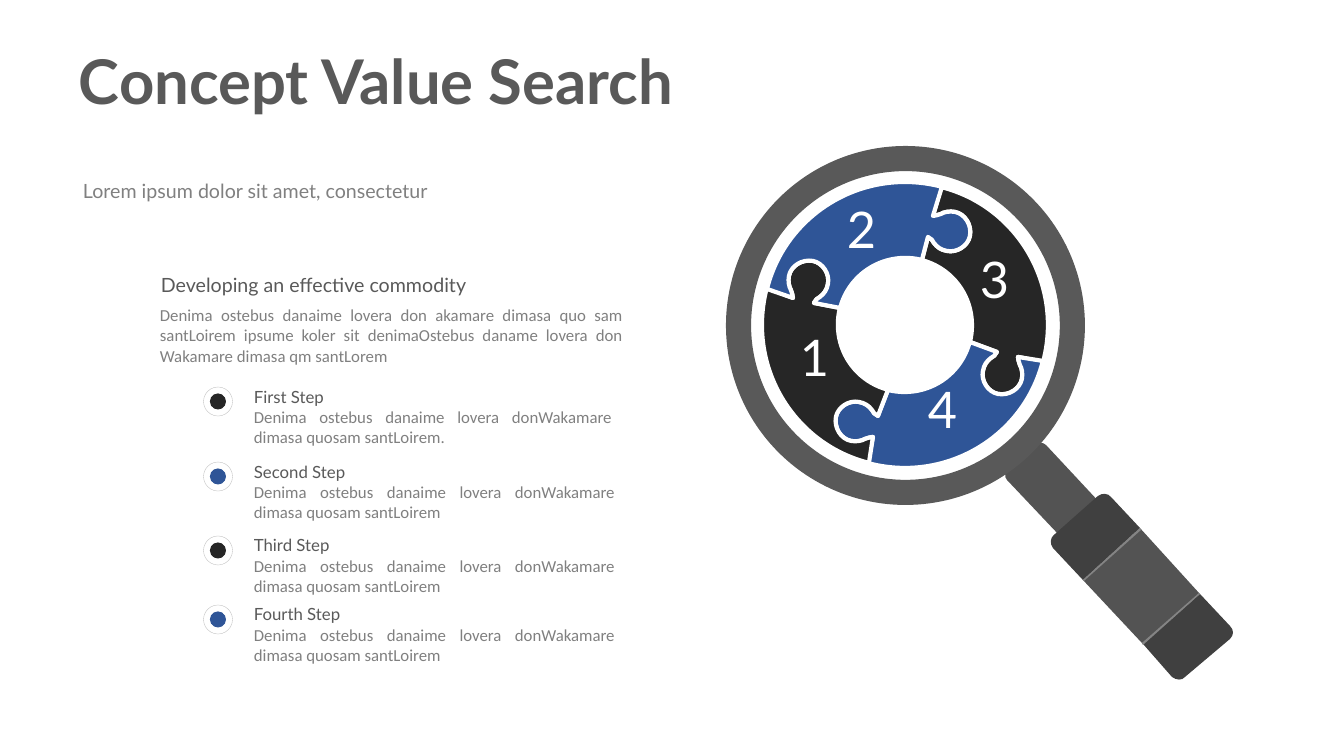
from math import cos, pi, radians, sin, tan

from lxml import etree
from pptx import Presentation
from pptx.dml.color import RGBColor
from pptx.enum.shapes import MSO_SHAPE
from pptx.enum.text import MSO_AUTO_SIZE, PP_ALIGN
from pptx.oxml.ns import qn
from pptx.util import Pt

LEFT, CENTER, JUSTIFY = PP_ALIGN.LEFT, PP_ALIGN.CENTER, PP_ALIGN.JUSTIFY
OVAL, DONUT = MSO_SHAPE.OVAL, MSO_SHAPE.DONUT
PX = 914400 / 100.8
COLORS = {key: RGBColor.from_string(value) for key, value in {
    "heading": "595959", "body": "808080", "dark": "262626", "blue": "2F5597",
    "white": "FFFFFF", "halo": "BFBFBF", "grip": "535353", "cap": "404040",
    "seam": "848484"}.items()}

presentation = Presentation()
presentation.slide_width = round(1344 * PX)
presentation.slide_height = round(756 * PX)
slide = presentation.slides.add_slide(presentation.slide_layouts[6])


def add_text(text, box, size, color, font="Lato", align=LEFT):
    shape = slide.shapes.add_textbox(*[round(value * PX) for value in box])
    frame = shape.text_frame
    frame.word_wrap = True
    frame.auto_size = MSO_AUTO_SIZE.SHAPE_TO_FIT_TEXT
    paragraph = frame.paragraphs[0]
    paragraph.text = text
    paragraph.alignment = align
    paragraph.font.size = Pt(size)
    paragraph.font.name = font
    paragraph.font.color.rgb = COLORS[color]
    return frame


def add_outline(segments, color):
    """Draw segments: one point is a straight line, three are a Bezier curve."""
    start, *rest = [(x * PX, y * PX) for segment in segments for x, y in segment]
    builder = slide.shapes.build_freeform(*start)
    builder.add_line_segments(rest, close=True)
    shape = builder.convert_to_shape()
    lines = iter(list(shape._element.iter(qn("a:lnTo"))))
    for segment in segments[1:]:
        first, *others = [next(lines) for _ in segment]
        if others:
            first.tag = qn("a:cubicBezTo")
            for line in others:
                first.append(line[0])
                line.getparent().remove(line)
    shape.shadow.inherit = False
    shape.fill.solid()
    shape.fill.fore_color.rgb = COLORS[color]
    shape.line.fill.background()
    return shape


# Headings and introduction
title = add_text("Concept Value Search", (69, 56, 894, 67), 44, "heading").paragraphs[0]
title.font.bold = True
title.line_spacing = Pt(40)
add_text("Lorem ipsum dolor sit amet, consectetur", (73, 174, 428, 57), 14, "body")
add_text("Denima ostebus danaime lovera don akamare dimasa quo sam santLoirem ipsume "
         "koler sit denimaOstebus daname lovera don Wakamare dimasa qm santLorem",
         (150, 300, 483, 72), 12, "body", "Calibri", JUSTIFY)
add_text("Developing an effective commodity", (151, 268, 419, 34), 14, "heading")

# Steps with their bullets
DETAIL = "Denima ostebus danaime lovera donWakamare dimasa quosam santLoirem"
STEPS = [
    ("First Step", DETAIL + ".", 382, 402, 378, "dark"),
    ("Second Step", DETAIL, 457, 477, 381, "blue"),
    ("Third Step", DETAIL, 530, 551, 381, "dark"),
    ("Fourth Step", DETAIL, 599, 620, 381, "blue"),
]
for name, detail, name_top, detail_top, width, color in STEPS:
    add_text(name, (244, name_top, 232, 30), 12, "heading")
    add_text(detail, (244, detail_top, width, 50), 12, "body", "Calibri", JUSTIFY)
    for size, line_color, line_width in [(15, color, 0.75), (29, "halo", 0.25)]:
        box = (218 - size / 2, detail_top - 0.5 - size / 2, size, size)
        dot = slide.shapes.add_shape(OVAL, *[round(value * PX) for value in box])
        dot.shadow.inherit = False
        dot.line.color.rgb = COLORS[line_color]
        dot.line.width = Pt(line_width)
        if line_color == color:
            dot.fill.solid()
            dot.fill.fore_color.rgb = COLORS[color]
        else:
            dot.fill.background()

# Puzzle joint and quarter arc as Bezier points around the lens centre
CENTER_X, CENTER_Y = 905, 325
JOINT = [(36, -138), *[(28, -109)] * 3, (30, -109), (33, -110), (36, -111),
         (39, -113), (45, -114), (50, -113), (60, -111), (67, -100), (65, -89),
         (63, -79), (52, -72), (42, -74), (36, -75), (32, -78), (29, -82),
         (28, -84), (26, -87), (23, -88), *[(17, -65)] * 3]
KNOB_SHIFTS = [(0, 0), (4, -4), (4, -3), (-1, -3)]
joints = []
for turn, (shift_x, shift_y) in enumerate(KNOB_SHIFTS):
    joint = JOINT[:1] + [(x + shift_x, y + shift_y) for x, y in JOINT[1:-3]] + JOINT[-3:]
    for _ in range(turn):
        joint = [(-y, x) for x, y in joint]
    joints.append(joint)

handle_length = 4 / 3 * tan(pi / 24)
PIECE_COLORS = ["dark", "blue", "dark", "blue"]
for turn, color in enumerate(PIECE_COLORS):
    arc = []
    for degrees in range(90 * turn - 75, 90 * turn + 16, 30):
        angle = radians(degrees)
        arc += [(cos(angle) + side * handle_length * sin(angle),
                 sin(angle) - side * handle_length * cos(angle)) for side in (1, 0, -1)]
    arc = arc[1:-1]
    outer_arc = [(143 * x, 143 * y) for x, y in arc]
    inner_arc = [(67 * x, 67 * y) for x, y in reversed(arc)]
    piece = (joints[turn][::-1] + outer_arc[1:] + joints[(turn + 1) % 4][1:]
             + inner_arc[1:])
    # Each joint and arc adds whole curves after the first point
    piece = [(CENTER_X + x, CENTER_Y + y) for x, y in piece]
    segments = [piece[:1]] + [piece[i:i + 3] for i in range(1, len(piece), 3)]
    shape = add_outline(segments, color)
    shape.line.color.rgb = COLORS["white"]
    shape.line.width = Pt(3)

# Magnifier handle
pivot = slide.shapes.add_shape(OVAL, *[round(value * PX) for value in (1041, 458, 23, 23)])
pivot.shadow.inherit = False
pivot.fill.solid()
pivot.fill.fore_color.rgb = COLORS["cap"]
pivot.line.fill.background()

HANDLE = [
    ("grip", [[(1088, 554)], [(1114, 531)], [(1117, 528), (1118, 523), (1115, 519)],
              [(1046, 445)], [(1043, 442), (1037, 442), (1034, 445)], [(1008, 468)],
              [(1005, 472), (1004, 477), (1007, 480)], [(1077, 554)],
              [(1079, 557), (1084, 557), (1088, 554)]]),
    ("grip", [[(1143, 644)], [(1200, 594)], [(1140, 528)], [(1083, 580)]]),
    ("cap", [[(1230, 626)], [(1234, 630), (1234, 635), (1230, 639)], [(1185, 677)],
             [(1182, 681), (1176, 680), (1172, 677)], [(1143, 644)], [(1200, 594)]]),
    ("cap", [[(1054, 535)], [(1098, 496)], [(1102, 493), (1108, 493), (1111, 497)],
             [(1140, 528)], [(1083, 580)], [(1053, 548)],
             [(1050, 544), (1050, 538), (1054, 535)]]),
    ("seam", [[(1084, 581)], [(1141, 530)], [(1140, 528)], [(1083, 580)]]),
    ("seam", [[(1143, 645)], [(1200, 594)], [(1199, 593)], [(1142, 643)]]),
]
for color, segments in HANDLE:
    add_outline(segments, color)

# Magnifier rim
rim = slide.shapes.add_shape(DONUT, *[round(value * PX) for value in (726, 146, 359, 359)])
rim.adjustments[0] = 0.07
rim.shadow.inherit = False
rim.fill.solid()
rim.fill.fore_color.rgb = COLORS["heading"]
rim.line.fill.background()

# Piece numbers
NUMBERS = [("1", 793, 323, 30), ("2", 840, 195, 39), ("3", 973, 245, 40), ("4", 921, 375, 42)]
for number, left, top, width in NUMBERS:
    frame = add_text(number, (left, top, width, 67), 36, "white", align=CENTER)
    frame.word_wrap = False
    frame.margin_left = frame.margin_right = round(7 * PX)
    frame.margin_top = frame.margin_bottom = round(3 * PX)

presentation.save("out.pptx")
